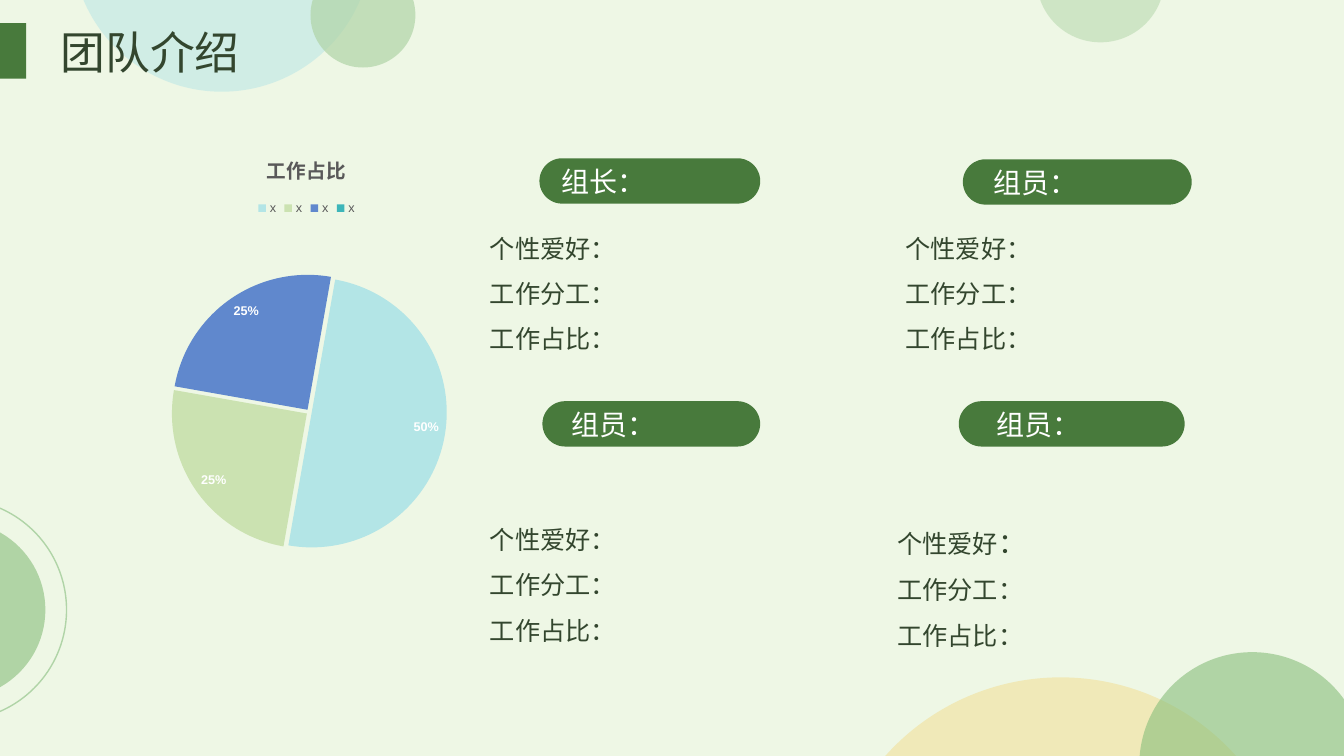
"""Build the team introduction slide with a workload pie chart."""
from lxml.etree import SubElement
from pptx import Presentation
from pptx.chart.data import CategoryChartData
from pptx.dml.color import RGBColor
from pptx.enum.chart import XL_CHART_TYPE, XL_LABEL_POSITION, XL_LEGEND_POSITION
from pptx.enum.shapes import MSO_SHAPE
from pptx.enum.text import MSO_ANCHOR, MSO_AUTO_SIZE, PP_ALIGN
from pptx.oxml import parse_xml
from pptx.oxml.ns import nsdecls, qn
from pptx.util import Inches, Pt

GREEN, DARK, GRAY, WHITE = "487A3C", "33462E", "595959", "FFFFFF"
SC, JP = "Noto Sans CJK SC", "Noto Sans CJK JP"


def style(font, color, **fmt):
    font.color.rgb = RGBColor.from_string(color)
    for k, v in fmt.items():
        setattr(font, k, v)


def add_run(p, text, size, color, face):
    r = p.add_run()
    r.text = text
    style(r.font, color, size=Pt(size), name=face, bold=False)
    SubElement(r.font._element, qn("a:ea"), typeface=face)


prs = Presentation()
prs.slide_width, prs.slide_height = Inches(13.33), Inches(7.5)
s = prs.slides.add_slide(prs.slide_layouts[4])
s.background.fill.solid()
s.background.fill.fore_color.rgb = RGBColor.from_string("EEF7E5")

circles = [
    (8.19, 6.72, 4.66, "F9B407", 20),
    (11.3, 6.47, 2.24, "88BE7B", 60),
    (0.71, -2.07, 2.98, "B3E5E6", 50),
    (3.08, -0.37, 1.04, "B0D4A7", 70),
    (10.28, -0.85, 1.27, "B0D4A7", 50),
    (-1.54, 4.95, 2.2, "B0D4A7", 0),
    (-1.31, 5.17, 1.76, "88BE7B", 60),
]
for i, (x, y, d, color, alpha) in enumerate(circles):
    sp = s.shapes.add_shape(MSO_SHAPE.OVAL, Inches(x), Inches(y), Inches(d), Inches(d))
    sp.shadow.inherit = False
    if alpha:
        sp.fill.solid()
        sp.fill.fore_color.rgb = RGBColor.from_string(color)
        clr = sp._element.spPr.find(".//" + qn("a:srgbClr"))
        SubElement(clr, qn("a:alpha"), val=str(alpha * 1000))
        sp.line.fill.background()
    else:
        sp.fill.background()
        sp.line.color.rgb = RGBColor.from_string(color)
        sp.line.width = Pt(1)
    s.shapes._spTree.insert(2 + i, sp._element)

pills = [
    (5.35, 1.57, 2.19, 0.15, "组长："),
    (9.55, 1.58, 2.27, 0.24, "组员："),
    (5.38, 3.98, 2.16, 0.22, "组员："),
    (9.51, 3.98, 2.24, 0.31, "组员："),
]
bars = [(MSO_SHAPE.RECTANGLE, 0, 0.23, 0.26, 0.55, 0, "")]
bars += [(MSO_SHAPE.ROUNDED_RECTANGLE, x, y, w, 0.45, inset, text) for x, y, w, inset, text in pills]
for kind, x, y, w, h, inset, text in bars:
    sp = s.shapes.add_shape(kind, Inches(x), Inches(y), Inches(w), Inches(h))
    sp.shadow.inherit = False
    sp.fill.solid()
    sp.fill.fore_color.rgb = RGBColor.from_string(GREEN)
    sp.line.fill.background()
    if text:
        sp.adjustments[0] = 0.5
        tf = sp.text_frame
        tf.margin_left = Inches(inset)
        tf.margin_right = tf.margin_top = tf.margin_bottom = 0
        tf.vertical_anchor = MSO_ANCHOR.MIDDLE
        tf.paragraphs[0].alignment = PP_ALIGN.LEFT
        add_run(tf.paragraphs[0], text, 20, WHITE, SC)

topics = [[("个性爱好：", 18)], [("工作分工：", 18)], [("工作占比：", 18)]]
last_topics = [[("个性爱好", 18), ("：", 20)]] + topics[1:]
texts = [
    (0, 0.6, 0.24, 5.84, 0.54, [[("团队介绍", 32)]]),
    (1, 4.86, 2.16, 3.79, 1.36, topics),
    (2, 8.98, 2.16, 3.91, 1.82, topics),
    (3, 4.86, 5.05, 3.79, 1.82, topics),
    (4, 8.9, 5.05, 3.58, 1.87, last_topics),
]
for idx, x, y, w, h, lines in texts:
    sp = s.placeholders[idx]
    sp.left, sp.top, sp.width, sp.height = Inches(x), Inches(y), Inches(w), Inches(h)
    tf = sp.text_frame
    frame = dict(margin_left=0, margin_right=0, margin_top=0, margin_bottom=0, word_wrap=True,
                 auto_size=MSO_AUTO_SIZE.NONE,
                 vertical_anchor=MSO_ANCHOR.TOP if idx else MSO_ANCHOR.MIDDLE)
    for k, v in frame.items():
        setattr(tf, k, v)
    for i, runs in enumerate(lines):
        p = tf.add_paragraph() if i else tf.paragraphs[0]
        p.space_before = Pt(0)
        p.alignment = PP_ALIGN.JUSTIFY if idx else PP_ALIGN.LEFT
        p.line_spacing = 1.5 if idx else 1.0
        if idx:
            pPr = p._p.get_or_add_pPr()
            pPr.set("marL", "0")
            pPr.set("indent", "0")
            SubElement(pPr, qn("a:buNone"))
        for text, size in runs:
            add_run(p, text, size, DARK, SC if idx else JP)

data = CategoryChartData()
data.categories = ["x"] * 4
data.add_series("Series 1", (50, 25, 25, 0))
chart = s.shapes.add_chart(XL_CHART_TYPE.PIE, Inches(0.14), Inches(1.33),
                           Inches(5.8), Inches(4.89), data).chart
style(chart.font, "000000", size=Pt(10), name="Arial")
chart.has_title = True
p = chart.chart_title.text_frame.paragraphs[0]
r = p.add_run()
r.text = "工作占比"
style(r.font, GRAY, size=Pt(14), bold=True, name="Arial")
chart.has_legend = True
chart.legend.position = XL_LEGEND_POSITION.TOP
chart.legend.include_in_layout = False
style(chart.legend.font, GRAY, size=Pt(9), name="Arial")

plot = chart.plots[0]
plot.vary_by_categories = True
ser = plot.series[0]
for i, color in enumerate(["B3E5E6", "CBE2B1", "6088CD", "3DB6B9"]):
    fmt = ser.points[i].format
    fmt.fill.solid()
    fmt.fill.fore_color.rgb = RGBColor.from_string(color)
    fmt.line.fill.background()
labels = ser.data_labels
label_format = dict(show_percentage=True, show_value=False, number_format="0%",
                    number_format_is_linked=False, position=XL_LABEL_POSITION.INSIDE_END)
for k, v in label_format.items():
    setattr(labels, k, v)
style(labels.font, WHITE, size=Pt(9), bold=True, name="Arial")
labels._element.insert(0, parse_xml(
    f'<c:dLbl {nsdecls("c")}><c:idx val="3"/><c:delete val="1"/></c:dLbl>'))
ser._element.find(qn("c:dPt")).addprevious(parse_xml(f'<c:explosion {nsdecls("c")} val="2"/>'))

pie = plot._element
for old in pie.findall(qn("c:firstSliceAng")):
    pie.remove(old)
SubElement(pie, qn("c:firstSliceAng"), val="10")
area = pie.getparent()
for old in area.findall(qn("c:layout")):
    area.remove(old)
layout = parse_xml(f'<c:layout {nsdecls("c")}><c:manualLayout/></c:layout>')
manual = [("layoutTarget", "inner"), ("xMode", "edge"), ("yMode", "edge"),
          ("x", 0.269), ("y", 0.221), ("w", 0.471), ("h", 0.686)]
for tag, val in manual:
    SubElement(layout[0], qn("c:" + tag), val=str(val))
area.insert(0, layout)

prs.save("out.pptx")
